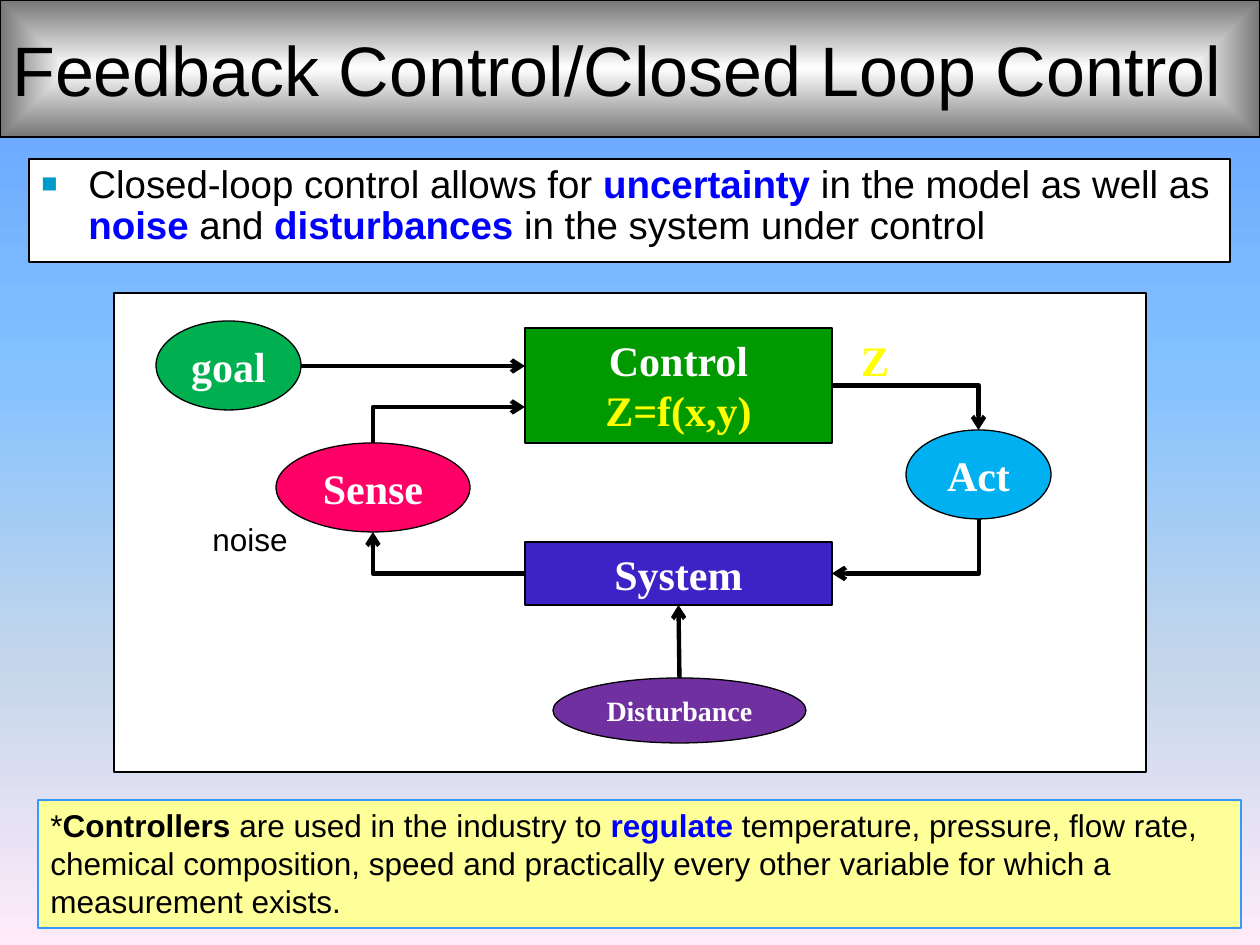
import pptx
import pptx.dml.color
import pptx.enum.shapes
import pptx.enum.text
import pptx.oxml
import pptx.oxml.ns
import pptx.util
from dataclasses import dataclass

SCALE = 914400 / 126  # EMU in one px


@dataclass(frozen=True)
class Theme:
    sans: str = "Arial"
    serif: str = "Times New Roman"
    black: str = "000000"
    white: str = "FFFFFF"
    blue: str = "0000FF"
    yellow: str = "FFFF00"
    note: str = "FFFF99"
    edge: str = "3399FF"
    goal: str = "00B050"
    control: str = "009900"
    system: str = "3D22C6"
    act: str = "00B0F0"
    sense: str = "FF0066"
    noise: str = "7030A0"
    bullet: str = "0099CC"
    sky: tuple = ((0, "5E9EFF"), (40, "85C2FF"), (70, "C4D6EB"), (100, "FFEBFA"))
    steel: tuple = ((0, "FFFFFF"), (100, "767676"))
    title: int = 40
    body: int = 22
    label: int = 24
    small: int = 16
    plain: int = 18
    thin: float = 0.75
    thick: float = 2.5


T = Theme()
RGB = pptx.dml.color.RGBColor.from_string
KIND = pptx.enum.shapes.MSO_SHAPE
LINK = pptx.enum.shapes.MSO_CONNECTOR
ALIGN = pptx.enum.text.PP_ALIGN
ANCHOR = pptx.enum.text.MSO_ANCHOR
qn = pptx.oxml.ns.qn
NS = pptx.oxml.ns.nsdecls("a")


def box(kind, area, fill=None, line=T.black):
    """Add a preset shape, or a text box when kind is None."""
    area = [round(n * SCALE) for n in area]
    if kind is None:
        return slide.shapes.add_textbox(*area)
    shape = slide.shapes.add_shape(kind, *area)
    shape.shadow.inherit = False
    if fill:
        shape.fill.solid()
        shape.fill.fore_color.rgb = RGB(fill)
    shape.line.color.rgb = RGB(line)
    shape.line.width = pptx.util.Pt(T.thin)
    return shape


def text(shape, *paras, size=T.label, font=T.serif, align=ALIGN.CENTER,
         anchor=ANCHOR.TOP, wrap=True):
    """Fill a shape with paragraphs, each a list of (words, colour, bold)."""
    frame = shape.text_frame
    frame.word_wrap = wrap
    frame.vertical_anchor = anchor
    for i, runs in enumerate(paras):
        para = frame.add_paragraph() if i else frame.paragraphs[0]
        para.alignment = align
        for words, color, bold in runs:
            run = para.add_run()
            run.text = words
            run.font.size = pptx.util.Pt(size)
            run.font.name = font
            run.font.bold = bold
            run.font.color.rgb = RGB(color)
    return frame


deck = pptx.Presentation()
deck.slide_width = round(1260 * SCALE)
deck.slide_height = round(945 * SCALE)
slide = deck.slides.add_slide(deck.slide_layouts[6])

# Background, panel and title
panel = box(KIND.RECTANGLE, (114, 293, 1032, 479), T.white)
title = box(KIND.RECTANGLE, (0, 0, 1260, 137))
text(title, [("Feedback Control/Closed Loop Control", T.black, False)],
     size=T.title, font=T.sans, align=ALIGN.LEFT, anchor=ANCHOR.MIDDLE, wrap=False)

down = '<a:lin ang="5400000" scaled="1"/>'
center = '<a:path path="shape"><a:fillToRect l="50000" t="50000" r="50000" b="50000"/></a:path>'
for owner, fill, stops, shade in (
    (slide, slide.background.fill, T.sky, down),
    (title, title.fill, T.steel, center),
):
    fill.gradient()
    old = owner.element.find(".//" + qn("a:gradFill"))
    marks = "".join(f'<a:gs pos="{at * 1000}"><a:srgbClr val="{color}"/></a:gs>'
                    for at, color in stops)
    new = pptx.oxml.parse_xml(
        f'<a:gradFill {NS} rotWithShape="1"><a:gsLst>{marks}</a:gsLst>{shade}</a:gradFill>')
    old.getparent().replace(old, new)

# Bulleted statement
body = box(KIND.RECTANGLE, (29, 159, 1201, 103), T.white)
frame = text(body, [
    ("Closed-loop control allows for ", T.black, False),
    ("uncertainty ", T.blue, True),
    ("in the model as well as ", T.black, False),
    ("noise", T.blue, True),
    (" and ", T.black, False),
    ("disturbances ", T.blue, True),
    ("in the system under control", T.black, False),
], size=T.body, font=T.sans, align=ALIGN.LEFT)
para = frame.paragraphs[0]
props = para._p.get_or_add_pPr()
indent = round(47 * SCALE)
props.set("marL", str(indent))
props.set("indent", str(-indent))
for mark in (
    f'<a:buClr {NS}><a:srgbClr val="{T.bullet}"/></a:buClr>',
    f'<a:buSzPct {NS} val="70000"/>',
    f'<a:buFont {NS} typeface="{T.sans}"/>',
    f'<a:buChar {NS} char="■"/>',
):
    props.append(pptx.oxml.parse_xml(mark))
para.line_spacing = 0.9

# Blocks of the loop
nodes = {}
for name, kind, area, fill, size in (
    ("goal", KIND.OVAL, (156, 321, 145, 89), T.goal, T.label),
    ("Control", KIND.RECTANGLE, (525, 328, 307, 115), T.control, T.label),
    ("System", KIND.RECTANGLE, (525, 542, 307, 63), T.system, T.label),
    ("Act", KIND.OVAL, (906, 430, 145, 89), T.act, T.label),
    ("Sense", KIND.OVAL, (276, 443, 194, 89), T.sense, T.label),
    ("Disturbance", KIND.OVAL, (553, 678, 253, 65), T.noise, T.small),
):
    lines = [[(name, T.white, True)]]
    if name == "Control":
        lines.append([("Z=f(x,y)", T.yellow, True)])
    nodes[name] = box(kind, area, fill)
    text(nodes[name], *lines, size=size)

# Arrows: bent ones leave their first point sideways, so some point backwards
for bent, start, end, tip, first, last in (
    (False, (301, 366), (525, 366), "tailEnd", None, None),
    (True, (832, 385), (979, 430), "tailEnd", ("Control", 3), ("Act", 0)),
    (True, (832, 573), (979, 519), "headEnd", ("System", 3), None),
    (False, (679, 678), (679, 605), "tailEnd", ("Disturbance", 0), ("System", 2)),
    (True, (525, 407), (373, 443), "headEnd", None, ("Sense", 0)),
    (True, (525, 573), (373, 532), "tailEnd", ("System", 1), None),
):
    ends = [round(n * SCALE) for n in start + end]
    arrow = slide.shapes.add_connector(LINK.ELBOW if bent else LINK.STRAIGHT, *ends)
    if first:
        arrow.begin_connect(nodes[first[0]], first[1])
    if last:
        arrow.end_connect(nodes[last[0]], last[1])
    arrow.line.color.rgb = RGB(T.black)
    arrow.line.width = pptx.util.Pt(T.thick)
    arrow.line._get_or_add_ln().append(pptx.oxml.parse_xml(f'<a:{tip} {NS} type="arrow"/>'))
    shell = arrow.element.spPr
    shell.append(pptx.oxml.parse_xml(f"<a:effectLst {NS}/>"))
    if bent:
        shell.find(qn("a:prstGeom")).set("prst", "bentConnector2")

# Loose labels and closing note
text(box(None, (848, 328, 54, 64)), [("Z", T.yellow, True)], wrap=False)
note = box(KIND.RECTANGLE, (38, 800, 1203, 128), T.note, T.edge)
text(note, [
    ("*", T.black, False),
    ("Controllers ", T.black, True),
    ("are used in the industry to ", T.black, False),
    ("regulate ", T.blue, True),
    ("temperature, pressure, flow rate, chemical composition, speed and practically "
     "every other variable for which a measurement exists.", T.black, False),
], size=T.plain, font=T.sans, align=ALIGN.LEFT)
text(box(None, (200, 514, 102, 50)), [("noise", T.black, False)],
     size=T.plain, font=T.sans, align=ALIGN.LEFT, wrap=False)

deck.save("out.pptx")
